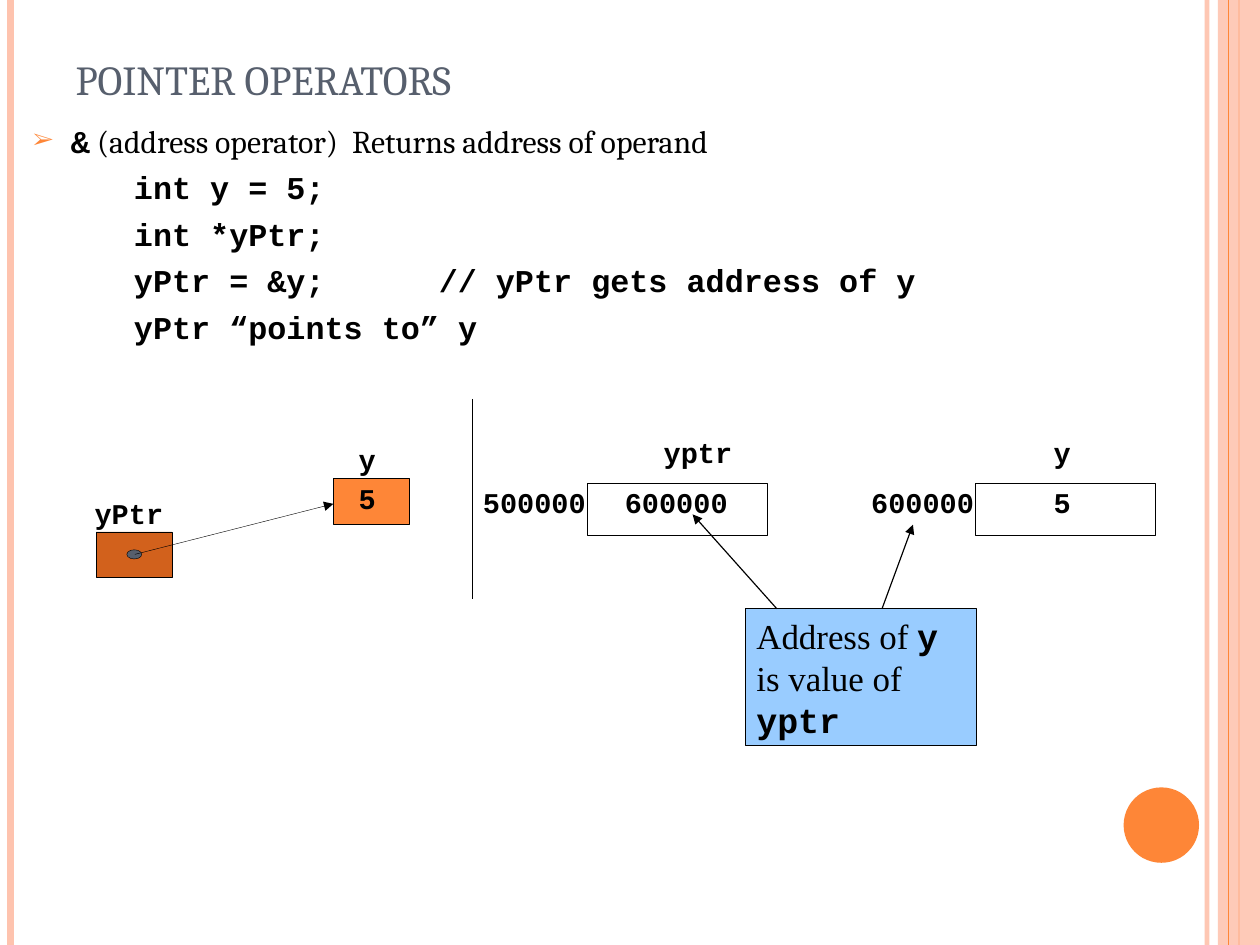
"""Build the slide that explains pointer operators with two memory diagrams."""
from lxml import etree
from pptx import Presentation
from pptx import util as u
from pptx.dml.color import RGBColor
from pptx.enum import shapes, text
from pptx.oxml import ns

WIDTH, HEIGHT = 793.7, 595.28
BLACK = RGBColor(0x00, 0x00, 0x00)
SLATE = RGBColor(0x57, 0x5F, 0x6D)
ORANGE = RGBColor(0xFE, 0x86, 0x37)
RUST = RGBColor(0xD2, 0x61, 0x1C)
PEACH = RGBColor(0xFE, 0xC3, 0xAE)
SKY = RGBColor(0x99, 0xCC, 0xFF)
SERIF, MONO, ROMAN = "Cambria", "Courier New", "Times New Roman"
RECT, OVAL = shapes.MSO_SHAPE.RECTANGLE, shapes.MSO_SHAPE.OVAL

TITLE = "POINTER OPERATORS"
RULE = [("&", MONO), (" (address operator)  Returns address of operand", SERIF)]
CODE = ["int y = 5;", "int *yPtr;",
        "yPtr = &y;\t// yPtr gets address of y", "yPtr “points to” y"]
CALLOUT = [("Address of ", ROMAN), ("y", MONO), (" is value of ", ROMAN), ("yptr", MONO)]
STRIPES = [(760.3, PEACH, 3, 93), (6.5, PEACH, 4.5, 100), (780.5, ORANGE, 1.5, 100)]
INNER_STRIPE = (773.7, ORANGE, 0.75, 100)
POINTER_LABELS = [("yPtr", 59.6, 317.9), ("y", 226, 284.2), ("5", 226, 308.6)]
CELLS = [(369.6, "500000", ("yptr", 418.1), ("600000", 393.6)),
         (614.2, "600000", ("y", 663.8), ("5", 663.8))]
ARROWS = [((85, 349.2), (210, 317.4), 0.25),
          ((555.6, 383.5), (575.1, 330.5), 0.75),
          ((489.4, 383.5), (436.3, 324), 0.75)]

deck = Presentation()
deck.slide_width, deck.slide_height = u.Pt(WIDTH), u.Pt(HEIGHT)
page = deck.slides.add_slide(deck.slide_layouts[6])


def set_alpha(fill_owner, percent):
    for color in fill_owner.iter(ns.qn("a:srgbClr")):
        etree.SubElement(color, ns.qn("a:alpha"), val=str(percent * 1000))


def add_line(start, end, color, width, alpha=100, arrow=False):
    ends = [u.Pt(value) for value in (*start, *end)]
    line = page.shapes.add_connector(shapes.MSO_CONNECTOR.STRAIGHT, *ends)
    line.line.color.rgb = color
    line.line.width = u.Pt(width)
    properties = line._element.spPr.find(ns.qn("a:ln"))
    if alpha < 100:
        set_alpha(properties, alpha)
    if arrow:
        etree.SubElement(properties, ns.qn("a:tailEnd"), type="triangle")
    etree.SubElement(line._element.spPr, ns.qn("a:effectLst"))


def add_stripe(x, color, width, alpha):
    add_line((x, 0), (x, HEIGHT), color, width, alpha)


def add_block(kind, frame, fill=None, border=None):
    block = page.shapes.add_shape(kind, *[u.Pt(value) for value in frame])
    block.shadow.inherit = False
    if fill is None:
        block.fill.background()
    else:
        block.fill.solid()
        block.fill.fore_color.rgb = fill
    if border is None:
        block.line.fill.background()
    else:
        block.line.color.rgb = BLACK
        block.line.width = u.Pt(border)
    return block


def set_insets(box, across, down):
    frame = box.text_frame
    frame.margin_left = frame.margin_right = u.Pt(across)
    frame.margin_top = frame.margin_bottom = u.Pt(down)


def add_box(frame, across=0, down=0, wrap=True):
    box = page.shapes.add_textbox(*[u.Pt(value) for value in frame])
    set_insets(box, across, down)
    box.text_frame.word_wrap = wrap
    return box


def style(span, font, size, color=BLACK):
    span.font.name, span.font.size = font, u.Pt(size)
    span.font.bold = font == MONO
    span.font.color.rgb = color


def add_spans(para, pieces, size):
    for words, font in pieces:
        span = para.add_run()
        span.text = words
        style(span, font, size)


def add_label(words, left, top, spacing):
    box = add_box((left, top, len(words) * 11, 20), wrap=False)
    para = box.text_frame.paragraphs[0]
    para.text = words
    para.line_spacing = spacing
    style(para.runs[0], MONO, 18)


for stripe in STRIPES:
    add_stripe(*stripe)
band = add_block(RECT, (767.2, 0, WIDTH - 767.2, HEIGHT), PEACH)
set_alpha(band._element.spPr, 87)
add_stripe(*INNER_STRIPE)
add_block(OVAL, (707.8, 496, 47.5, 47.5), ORANGE)

title = add_box((39.7, 14.4, 714.2, 55.4), 7.9, 4.3)
title.text_frame.vertical_anchor = text.MSO_ANCHOR.BOTTOM
title.text_frame.text = TITLE
style(title.text_frame.paragraphs[0].runs[0], SERIF, 26, SLATE)

rule = add_box((13, 72.2, 743.8, 36), 7.9, 4.3).text_frame.paragraphs[0]
add_spans(rule, RULE, 20)
settings = rule._p.get_or_add_pPr()
settings.set("marL", str(u.Pt(23.8)))
settings.set("indent", str(u.Pt(-23.8)))
bullet_color = etree.SubElement(settings, ns.qn("a:buClr"))
etree.SubElement(bullet_color, ns.qn("a:srgbClr"), val=str(ORANGE))
etree.SubElement(settings, ns.qn("a:buSzPct"), val="70000")
etree.SubElement(settings, ns.qn("a:buFont"), typeface=SERIF)
etree.SubElement(settings, ns.qn("a:buChar"), char="➢")

code = add_box((84.4, 105.6, 660, 116)).text_frame
code.text = "\n".join(CODE)
for para in code.paragraphs:
    para.space_after = u.Pt(5.4)
    tabs = etree.SubElement(para._p.get_or_add_pPr(), ns.qn("a:tabLst"))
    etree.SubElement(tabs, ns.qn("a:tab"), pos=str(u.Pt(192)), algn="l")
    for span in para.runs:
        style(span, MONO, 20)

add_block(RECT, (60.6, 335.1, 47.8, 28.5), RUST, 0.25)
add_block(RECT, (210, 301.3, 47.8, 28.8), ORANGE, 0.25)
add_block(OVAL, (79.9, 346.3, 9.4, 5.8), SLATE, 0.25)
for label in POINTER_LABELS:
    add_label(*label, 0.72)
add_line((297.4, 251.3), (297.4, 377.3), BLACK, 0.75)

for left, address, (name, name_left), (value, value_left) in CELLS:
    add_block(RECT, (left, 304.4, 113.4, 32.7), border=0.25)
    add_label(address, left - 65.4, 309.6, 0.8)
    add_label(name, name_left, 277.9, 0.8)
    add_label(value, value_left, 309.6, 0.8)

callout = add_block(RECT, (469.4, 383.5, 145.5, 86.4), SKY, 0.75)
set_insets(callout, 7.2, 3.6)
callout.text_frame.word_wrap = True
callout.text_frame.vertical_anchor = text.MSO_ANCHOR.TOP
message = callout.text_frame.paragraphs[0]
message.alignment = text.PP_ALIGN.LEFT
add_spans(message, CALLOUT, 22)

for start, end, width in ARROWS:
    add_line(start, end, BLACK, width, arrow=True)

deck.save("out.pptx")
